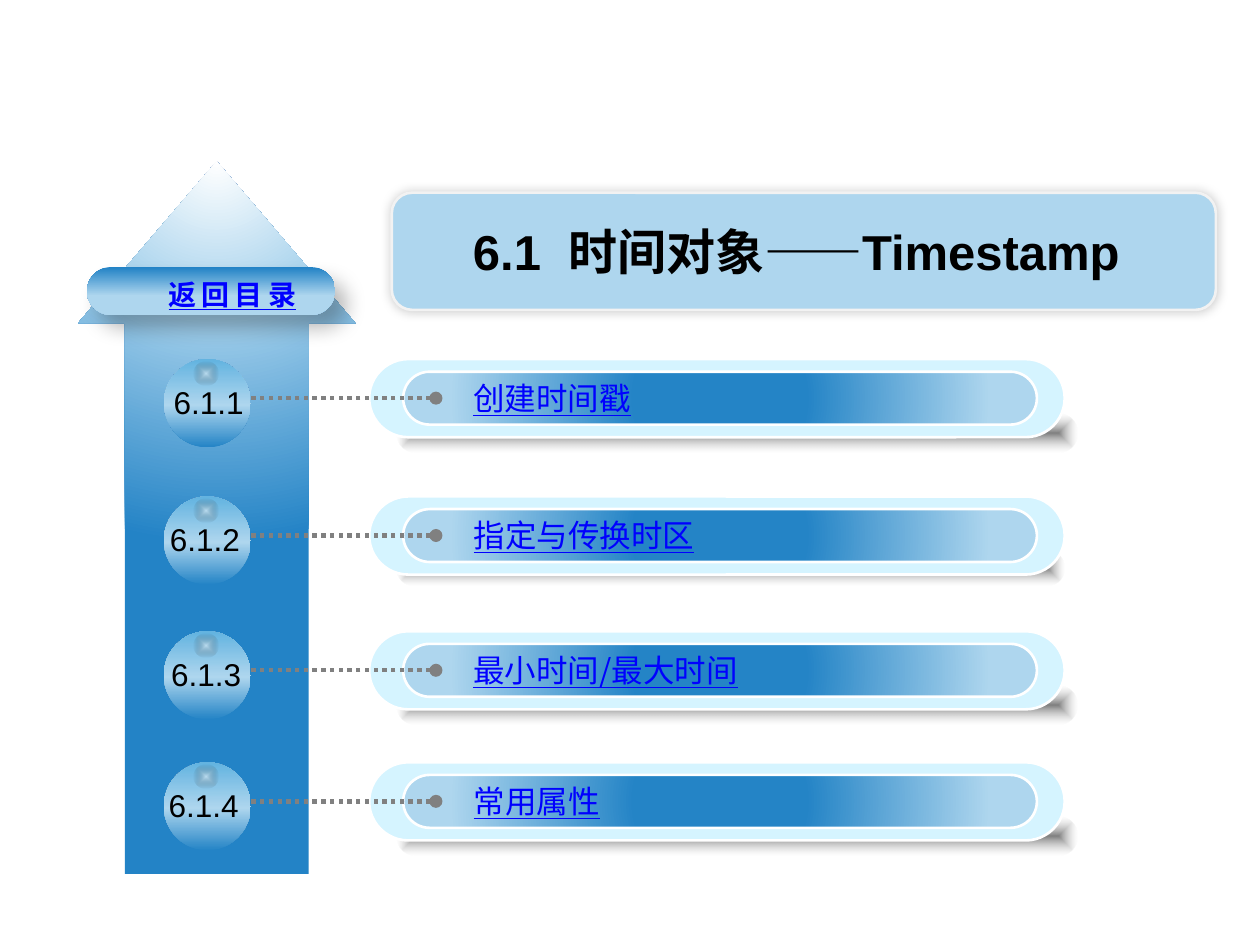
import pptx
import pptx.util
import pptx.dml.color
import pptx.enum.dml
import pptx.enum.shapes
import pptx.enum.text
import pptx.oxml
import pptx.oxml.ns

PX = 9144  # EMU in one px, 100 px to the inch
COLORS = {
    "white": "FFFFFF", "black": "000000", "blue": "2383C6", "bar_blue": "2484C6",
    "light_blue": "AED6EE", "sky": "62B3E0", "pale": "D5F4FF", "edge": "F2F2F2",
    "shade": "B0B0B0", "gray": "808080", "link": "0000FF",
}
LATIN = "Arial"
CHINESE = "Noto Sans CJK SC"
SHAPE = pptx.enum.shapes.MSO_SHAPE
CENTER = pptx.enum.text.PP_ALIGN.CENTER
LINEAR = '<a:lin ang="{}" scaled="0"/>'
PATH = '<a:path path="{}"><a:fillToRect l="{}" t="{}" r="{}" b="{}"/></a:path>'
MIDDLE = (50000, 50000, 50000, 50000)

# top, number, left of number, label, width of label, size of shadow
ROWS = [
    (285, "6.1.1", 128, "创建时间戳", 274, (540, 31)),
    (394, "6.1.2", 125, "指定与传换时区", 438, (530, 28)),
    (501, "6.1.3", 126, "最小时间/最大时间", 363, (540, 31)),
    (605, "6.1.4", 124, "常用属性", 358, (540, 31)),
]


def rgb(name):
    return pptx.dml.color.RGBColor.from_string(COLORS[name])


def element(xml):
    """Parse one drawing element, adding the namespace to its tag."""
    tag = xml[1:].split(" ")[0].split(">")[0].split("/")[0]
    return pptx.oxml.parse_xml(
        xml.replace(tag, tag + " " + pptx.oxml.ns.nsdecls("a"), 1))


def gradient(stops, direction):
    """Build a gradient from (percent, colour, opacity) stops."""
    stop_xml = "".join(
        f'<a:gs pos="{position * 1000}"><a:srgbClr val="{COLORS[name]}">'
        f'<a:alpha val="{opacity * 1000}"/></a:srgbClr></a:gs>'
        for position, name, opacity in stops)
    return element(f'<a:gradFill rotWithShape="1"><a:gsLst>{stop_xml}</a:gsLst>'
                   f'{direction}</a:gradFill>')


def add_shape(shapes, kind, box, fill, line=None, adjustments=()):
    """Add a preset shape; fill is a colour name or a (stops, direction) pair."""
    shape = shapes.add_shape(kind, *(value * PX for value in box))
    shape.shadow.inherit = False
    for index, value in enumerate(adjustments):
        shape.adjustments[index] = value
    if isinstance(fill, str):
        shape.fill.solid()
        shape.fill.fore_color.rgb = rgb(fill)
    else:
        geometry = shape._element.spPr.find(pptx.oxml.ns.qn("a:prstGeom"))
        geometry.addnext(gradient(*fill))
    if line:
        shape.line.color.rgb = rgb(line)
        shape.line.width = pptx.util.Pt(1.5)
    else:
        shape.line.fill.background()
    return shape


def add_pill(shapes, box, fill, line=None):
    return add_shape(shapes, SHAPE.ROUNDED_RECTANGLE, box, fill, line, [0.5])


def cast_shadow(shape, opacity, blur, distance, angle):
    """Give a shape an outer shadow; blur and distance are in points."""
    effects = shape._element.spPr.find(pptx.oxml.ns.qn("a:effectLst"))
    effects.append(element(
        f'<a:outerShdw blurRad="{int(blur * 12700)}" dist="{distance * 12700}" '
        f'dir="{angle * 60000}" algn="ctr" rotWithShape="0">'
        f'<a:srgbClr val="{COLORS["black"]}"><a:alpha val="{opacity * 1000}"/>'
        f'</a:srgbClr></a:outerShdw>'))


def add_text(shapes, box, *pieces, size=18, font=LATIN, color="black", bold=False,
             underline=False, align=None, wrap=True):
    """Add a text box of (text, letter spacing in points) pieces."""
    text_box = shapes.add_textbox(*(value * PX for value in box))
    frame = text_box.text_frame
    frame.word_wrap = wrap
    frame.auto_size = pptx.enum.text.MSO_AUTO_SIZE.SHAPE_TO_FIT_TEXT
    paragraph = frame.paragraphs[0]
    paragraph.alignment = align
    for text, spacing in pieces:
        run = paragraph.add_run()
        run.text = text
        run.font.size = pptx.util.Pt(size)
        run.font.name = font
        run.font.bold = bold
        run.font.underline = underline
        run.font.color.rgb = rgb(color)
        properties = run._r.get_or_add_rPr()
        if spacing:
            properties.set("spc", str(spacing * 100))
        latin = properties.find(pptx.oxml.ns.qn("a:latin"))
        latin.addnext(element(f'<a:ea typeface="{CHINESE}"/>'))
    return text_box


def add_leader(shapes, start, end):
    """Add a dotted line with a round head at its start."""
    leader = shapes.add_connector(
        pptx.enum.shapes.MSO_CONNECTOR.STRAIGHT,
        *(value * PX for value in (*start, *end)))
    leader.line.color.rgb = rgb("gray")
    leader.line.width = pptx.util.Pt(2.5)
    leader.line.dash_style = pptx.enum.dml.MSO_LINE.ROUND_DOT
    leader.line._get_or_add_ln().append(element('<a:headEnd type="oval"/>'))
    leader._element.spPr.append(element("<a:effectLst/>"))


def add_arrow(shapes, left, top):
    stops = [(0, "white", 100), (35, "light_blue", 100), (100, "blue", 100)]
    direction = PATH.format("circle", 50000, -80000, 50000, 180000)
    add_shape(shapes, SHAPE.UP_ARROW, (left, top, 220, 566), (stops, direction),
              adjustments=[0.663, 0.584])


def add_title(shapes, left, top):
    panel = add_shape(shapes, SHAPE.ROUNDED_RECTANGLE, (left, top, 654, 93),
                      "light_blue", "edge", [0.174])
    cast_shadow(panel, opacity=20, blur=6, distance=0, angle=225)
    add_text(shapes, (left, top + 18, 642, 57), ("6.1", 0), (" ", 8),
             ("时间对象——Timestamp", 0), size=28, bold=True, align=CENTER)


def add_return_tab(shapes, left, top):
    stops = [(1, "blue", 100), (60, "light_blue", 100)]
    tab = add_pill(shapes, (left, top, 197, 38), (stops, LINEAR.format(5400000)))
    cast_shadow(tab, opacity=28, blur=11.8, distance=10, angle=48)
    add_text(shapes, (left + 52, top + 3, 127, 37), ("返回目录", 3), size=16,
             font=CHINESE, color="link", bold=True, underline=True, align=CENTER,
             wrap=False)


def add_row(shapes, left, top, number, number_left, label, label_width, shadow_size):
    """Add one numbered entry; left is the left edge of its ball."""
    parts = shapes.add_group_shape().shapes
    # Bar with its soft shadow
    add_pill(parts, (left + 185, top + 43, *shadow_size),
             ([(0, "black", 50), (100, "shade", 0)], PATH.format("shape", *MIDDLE)))
    add_pill(parts, (left + 163, top, 552, 62), "pale", "white")
    add_pill(parts, (left + 190, top + 10, 503, 42),
             ([(27, "bar_blue", 100), (85, "light_blue", 100)],
              PATH.format("circle", *MIDDLE)), "white")
    add_leader(parts, (left + 216, top + 31), (left + 52, top + 31))
    # Ball with its highlight
    add_shape(parts, SHAPE.OVAL, (left, top, 69, 70),
              ([(0, "bar_blue", 100), (48, "light_blue", 100), (100, "sky", 100)],
               LINEAR.format(16200000)))
    add_shape(parts, SHAPE.OVAL, (left + 24, top + 2, 19, 19),
              ([(0, "white", 50), (100, "black", 0)], PATH.format("shape", *MIDDLE)))
    # Wording
    add_text(shapes, (number_left, top + 14, 87, 40), (number, 0))
    add_text(shapes, (left + 236, top + 11, label_width, 40), (label, 0),
             font=CHINESE, color="link", underline=True)


def main():
    presentation = pptx.Presentation()
    presentation.slide_width = 1000 * PX
    presentation.slide_height = 750 * PX
    slide = presentation.slides.add_slide(presentation.slide_layouts[6])
    add_arrow(slide.shapes, 62, 128)
    add_title(slide.shapes, 311, 153)
    add_return_tab(slide.shapes, 69, 212)
    for row in ROWS:
        add_row(slide.shapes, 130, *row)
    presentation.save("out.pptx")


if __name__ == "__main__":
    main()
